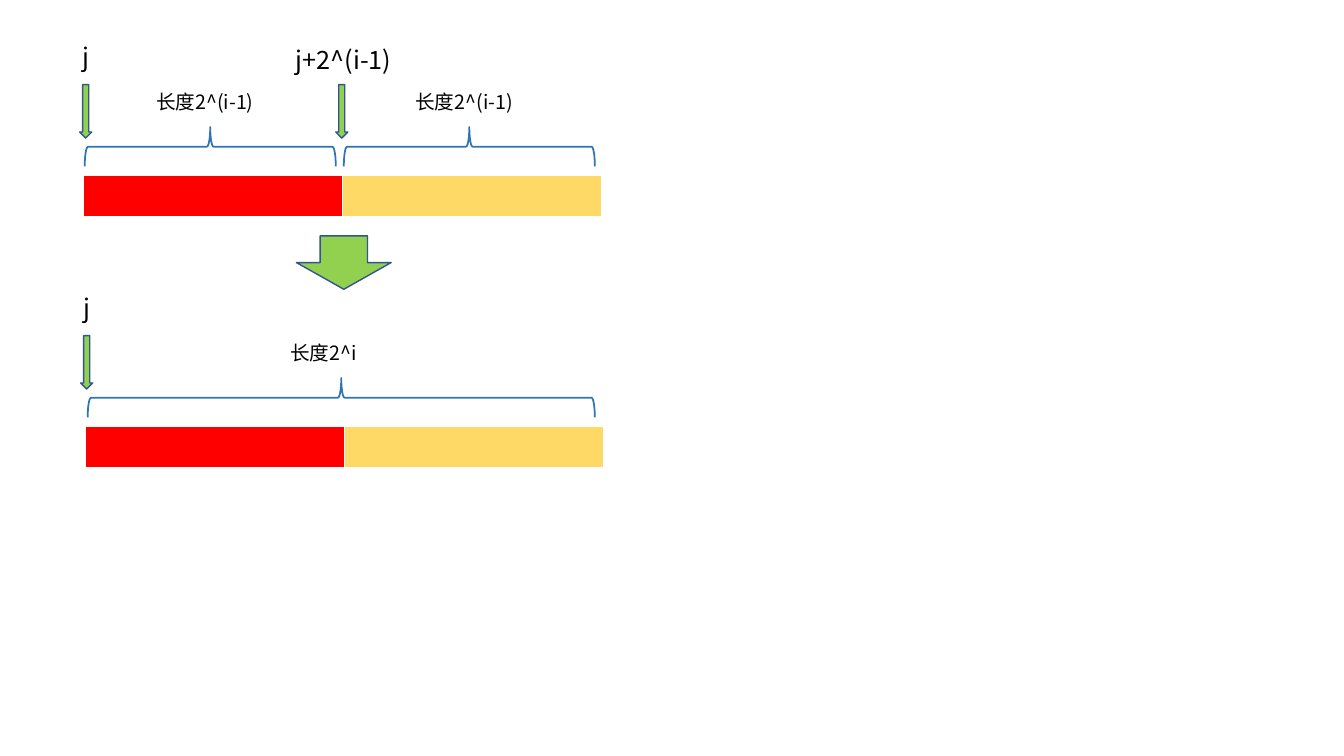
from dataclasses import dataclass

from lxml import etree
from pptx import Presentation
from pptx.dml.color import RGBColor
from pptx.enum.shapes import MSO_SHAPE
from pptx.enum.text import MSO_AUTO_SIZE
from pptx.oxml.ns import qn
from pptx.util import Inches, Pt

ARROW = MSO_SHAPE.DOWN_ARROW
BRACE = MSO_SHAPE.RIGHT_BRACE
GROW = MSO_AUTO_SIZE.SHAPE_TO_FIT_TEXT
HALF = 2.57      # width of one half of a bar
BAR_TOP = 1.38   # bar below the top of its panel
DEEP = 0.39      # depth of a brace


@dataclass(frozen=True)
class Theme:
    """Colours, font and type sizes of the slide."""
    red: RGBColor = RGBColor(0xFF, 0x00, 0x00)
    gold: RGBColor = RGBColor(0xFF, 0xD9, 0x66)
    green: RGBColor = RGBColor(0x92, 0xD0, 0x50)
    edge: RGBColor = RGBColor(0x32, 0x54, 0x91)
    brace: RGBColor = RGBColor(0x2E, 0x75, 0xB6)
    ink: RGBColor = RGBColor(0x00, 0x00, 0x00)
    font: str = "Noto Sans CJK SC"
    mark: int = 18
    note: int = 14


THEME = Theme()


def inches(*sizes):
    """Turn plain numbers into lengths."""
    return [Inches(size) for size in sizes]


def add_text(slide, words, box, size, wrap):
    """Place one line of text in the box."""
    frame = slide.shapes.add_textbox(*inches(*box)).text_frame
    frame.text = words
    frame.word_wrap = wrap
    frame.auto_size = GROW
    run = frame.paragraphs[0].runs[0]
    run.font.size = Pt(size)
    run.font.color.rgb = THEME.ink
    run.font.name = THEME.font
    east = etree.SubElement(run.font._element, qn("a:ea"))
    east.set("typeface", THEME.font)


def add_arrow(slide, box):
    """Place a green arrow that points down."""
    arrow = slide.shapes.add_shape(ARROW, *inches(*box))
    arrow.shadow.inherit = False
    arrow.fill.solid()
    arrow.fill.fore_color.rgb = THEME.green
    arrow.line.color.rgb = THEME.edge
    arrow.line.width = Pt(1)


def add_mark(slide, words, left, top, width, shift=0, drop=0):
    """Place an arrow at left, with its index above it."""
    mid = left + 0.06
    box = (mid - width / 2 + shift, top + drop, width, 0.4)
    add_text(slide, words, box, THEME.mark, False)
    add_arrow(slide, (left, top + 0.48, 0.12, 0.53))


def add_span(slide, words, left, top, width, room):
    """Place a brace over the given width, with its length above it."""
    mid = left + width / 2
    brace_mid = top + 0.9 + DEEP / 2
    box = (mid - DEEP / 2, brace_mid - width / 2, DEEP, width)
    brace = slide.shapes.add_shape(BRACE, *inches(*box))
    brace.rotation = 270
    brace.shadow.inherit = False
    brace.fill.background()
    brace.line.color.rgb = THEME.brace
    brace.line.width = Pt(1.25)
    box = (mid - room / 2 + 0.01, top + 0.48, room, 0.34)
    add_text(slide, words, box, THEME.note, True)


def add_bar(slide, left, top):
    """Place the bar of two halves as a table."""
    box = inches(left, top, 2 * HALF, 0.41)
    table = slide.shapes.add_table(1, 2, *box).table
    for cell, fill in zip(table.iter_cells(), (THEME.red, THEME.gold)):
        cell.fill.solid()
        cell.fill.fore_color.rgb = fill


def add_parts(slide, left, top):
    """Draw the two halves, each with its own start and length."""
    add_bar(slide, left, top + BAR_TOP)
    for step in range(2):
        start = left + step * HALF
        add_span(slide, "长度2^(i-1)", start + 0.01, top, 2.49, 1.29)
    add_mark(slide, "j", left - 0.04, top, 0.26)
    add_mark(slide, "j+2^(i-1)", left + 2.5, top, 1.19, 0.04, 0.03)


def add_whole(slide, left, top):
    """Draw the joined bar with one start and one length."""
    add_bar(slide, left, top + BAR_TOP)
    add_span(slide, "长度2^i", left + 0.02, top, 5.03, 1.23)
    add_mark(slide, "j", left - 0.05, top, 0.26)


def main():
    """Build and save the slide."""
    deck = Presentation()
    deck.slide_width, deck.slide_height = inches(13.33, 7.5)
    slide = deck.slides.add_slide(deck.slide_layouts[6])
    add_parts(slide, 0.83, 0.36)
    add_arrow(slide, (2.94, 2.34, 0.94, 0.53))
    add_whole(slide, 0.85, 2.85)
    deck.save("out.pptx")


main()
